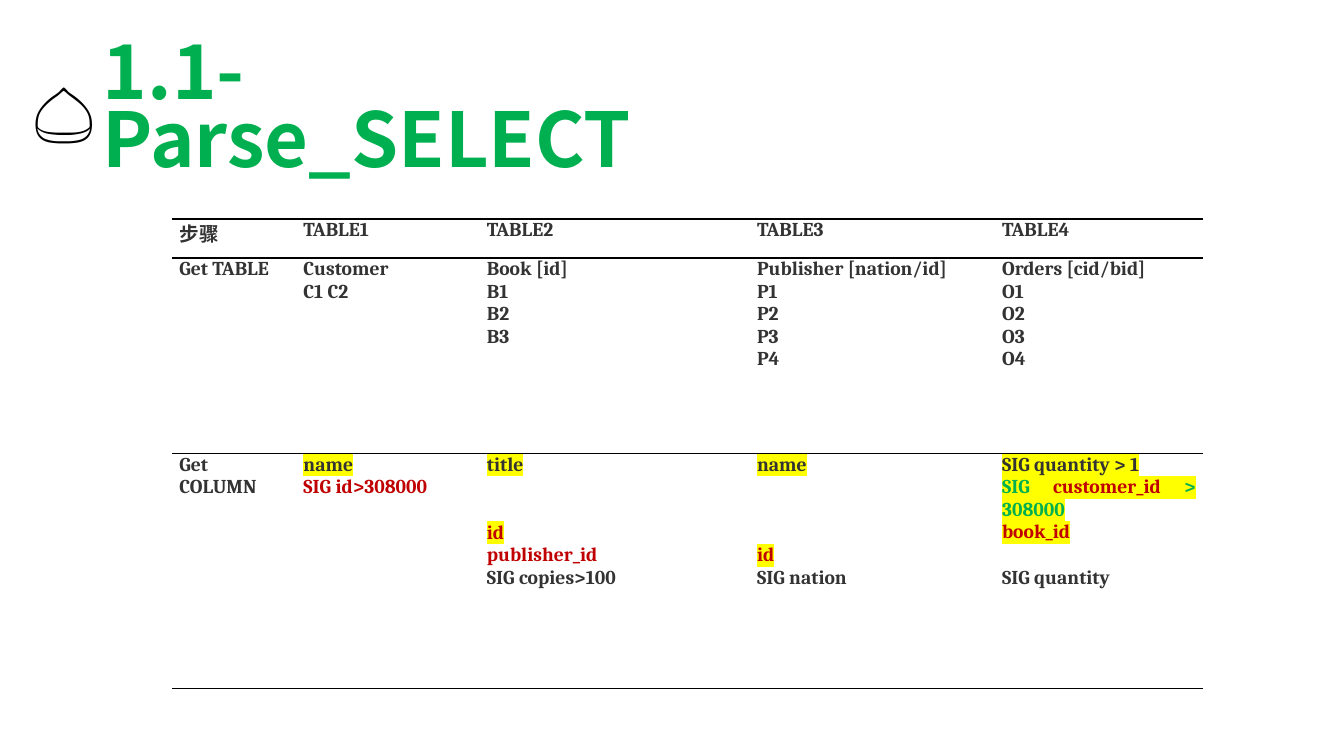
from dataclasses import dataclass

from lxml.etree import SubElement
from pptx import Presentation
from pptx.dml.color import RGBColor
from pptx.enum.text import MSO_ANCHOR, MSO_AUTO_SIZE, PP_ALIGN
from pptx.oxml import parse_xml
from pptx.oxml.ns import nsdecls, qn
from pptx.util import Inches, Pt

GREEN = RGBColor(0x00, 0xB0, 0x50)
RED = RGBColor(0xC0, 0x00, 0x00)
GREY = RGBColor(0x33, 0x33, 0x33)
BLACK = RGBColor(0x00, 0x00, 0x00)
YELLOW = RGBColor(0xFF, 0xFF, 0x00)

SLIDE_SIZE = (13.33, 7.5)
HEADING_BOX = (0.23, 0.66, 6.59, 0.92)
STEPS_BOX = (1.71, 2.17, 10.23, 4.66)
COLUMN_WIDTHS = (1.23, 1.82, 2.68, 2.43, 2.06)
ROW_HEIGHTS = (0.39, 1.94, 2.33)
RULE_WIDTHS = (1.5, 1, None, 1.5)  # above each row, then below the last
LINE_PITCH = 16.2
PLAIN_TABLE_STYLE = "{2D5ABB26-0587-4C30-8999-92F81FD0307C}"

TITLE_FORMAT = {"name": "Noto Sans CJK SC", "size": Pt(54), "bold": True}
ICON_FORMAT = {"name": "Noto Sans Mono", "size": Pt(44), "bold": True}
CELL_FORMAT = {"name": "Cambria", "size": Pt(14), "bold": True}
CELL_LAYOUT = {"margin_left": Inches(0.07), "margin_right": Inches(0.07),
               "margin_top": 0, "margin_bottom": 0,
               "vertical_anchor": MSO_ANCHOR.TOP}


@dataclass
class Line:
    """A cell line: (text, colour) runs, a marker colour and skipped lines above."""
    runs: list
    marked: bool = False
    skipped: int = 0


def line(text, colour=GREY, marked=False, skipped=0):
    return Line([(text, colour)], marked, skipped)


def lines(*texts):
    return [line(text) for text in texts]


STEPS = [
    [lines(text) for text in ("步骤", "TABLE1", "TABLE2", "TABLE3", "TABLE4")],
    [
        lines("Get TABLE"),
        lines("Customer", "C1 C2"),
        lines("Book [id]", "B1", "B2", "B3"),
        lines("Publisher [nation/id]", "P1", "P2", "P3", "P4"),
        lines("Orders [cid/bid]", "O1", "O2", "O3", "O4"),
    ],
    [
        lines("Get COLUMN"),
        [line("name", marked=True), line("SIG id>308000", RED)],
        [line("title", marked=True), line("id", RED, True, skipped=2),
         line("publisher_id", RED), line("SIG copies>100")],
        [line("name", marked=True), line("id", RED, True, skipped=3),
         line("SIG nation")],
        [line("SIG quantity > 1", marked=True),
         Line([("SIG", GREEN), (" customer_id ", RED), ("> 308000", GREEN)], True),
         line("book_id", RED, True), line("SIG quantity", skipped=1)],
    ],
]


def apply_format(target, values):
    for attribute, value in values.items():
        setattr(target, attribute, value)


def add_run(paragraph, text, colour, font_format, marked=False):
    run = paragraph.add_run()
    run.text = text
    apply_format(run.font, font_format)
    run.font.color.rgb = colour
    properties = run.font._element
    if marked:
        highlight = parse_xml(f'<a:highlight {nsdecls("a")}>'
                              f'<a:srgbClr val="{YELLOW}"/></a:highlight>')
        properties.find(qn("a:solidFill")).addnext(highlight)
    east_asian = SubElement(properties, qn("a:ea"))
    east_asian.set("typeface", "Noto Sans CJK SC")


def add_heading(slide, box):
    """Place the chestnut icon at the left of the box and the title beside it."""
    left, top, width, height = box
    title_offset = 0.69
    title = slide.shapes.title
    apply_format(title, {"left": Inches(left + title_offset), "top": Inches(top),
                         "width": Inches(width - title_offset),
                         "height": Inches(height)})
    apply_format(title.text_frame, {"word_wrap": True,
                                    "auto_size": MSO_AUTO_SIZE.NONE,
                                    "vertical_anchor": MSO_ANCHOR.MIDDLE})
    heading = title.text_frame.paragraphs[0]
    apply_format(heading, {"alignment": PP_ALIGN.LEFT, "line_spacing": 0.75})
    add_run(heading, "1.1-Parse_SELECT", GREEN, TITLE_FORMAT)

    chestnut = slide.shapes.add_textbox(Inches(left), Inches(top),
                                        Inches(1.07), Inches(0.84))
    chestnut.text_frame.word_wrap = True
    add_run(chestnut.text_frame.paragraphs[0], "🌰", BLACK, ICON_FORMAT)


def fill_cell(cell, content):
    apply_format(cell, CELL_LAYOUT)
    cell.fill.background()
    frame = cell.text_frame
    for index, entry in enumerate(content):
        paragraph = frame.add_paragraph() if index else frame.paragraphs[0]
        paragraph.alignment = PP_ALIGN.JUSTIFY
        if entry.skipped:
            paragraph.space_before = Pt(entry.skipped * LINE_PITCH)
        for text, colour in entry.runs:
            add_run(paragraph, text, colour, CELL_FORMAT, entry.marked)


def rule_cell(cell, above, below):
    properties = cell._tc.get_or_add_tcPr()
    for side, width in (("lnB", below), ("lnT", above)):
        if width:
            properties.insert(0, parse_xml(
                f'<a:{side} {nsdecls("a")} w="{Pt(width)}"><a:solidFill>'
                f'<a:srgbClr val="{BLACK}"/></a:solidFill></a:{side}>'))


def add_steps_table(slide, box):
    frame = slide.shapes.add_table(len(ROW_HEIGHTS), len(COLUMN_WIDTHS),
                                   *map(Inches, box))
    table = frame.table
    apply_format(table, {"first_row": False, "horz_banding": False})
    table._tbl.tblPr.find(qn("a:tableStyleId")).text = PLAIN_TABLE_STYLE
    for column, width in zip(table.columns, COLUMN_WIDTHS):
        column.width = Inches(width)
    for row_index, (row, height) in enumerate(zip(table.rows, ROW_HEIGHTS)):
        row.height = Inches(height)
        for cell, content in zip(row.cells, STEPS[row_index]):
            fill_cell(cell, content)
            rule_cell(cell, *RULE_WIDTHS[row_index:row_index + 2])


def main():
    presentation = Presentation()
    presentation.slide_width, presentation.slide_height = map(Inches, SLIDE_SIZE)
    slide = presentation.slides.add_slide(presentation.slide_layouts[5])
    add_steps_table(slide, STEPS_BOX)
    add_heading(slide, HEADING_BOX)
    presentation.save("out.pptx")


if __name__ == "__main__":
    main()
